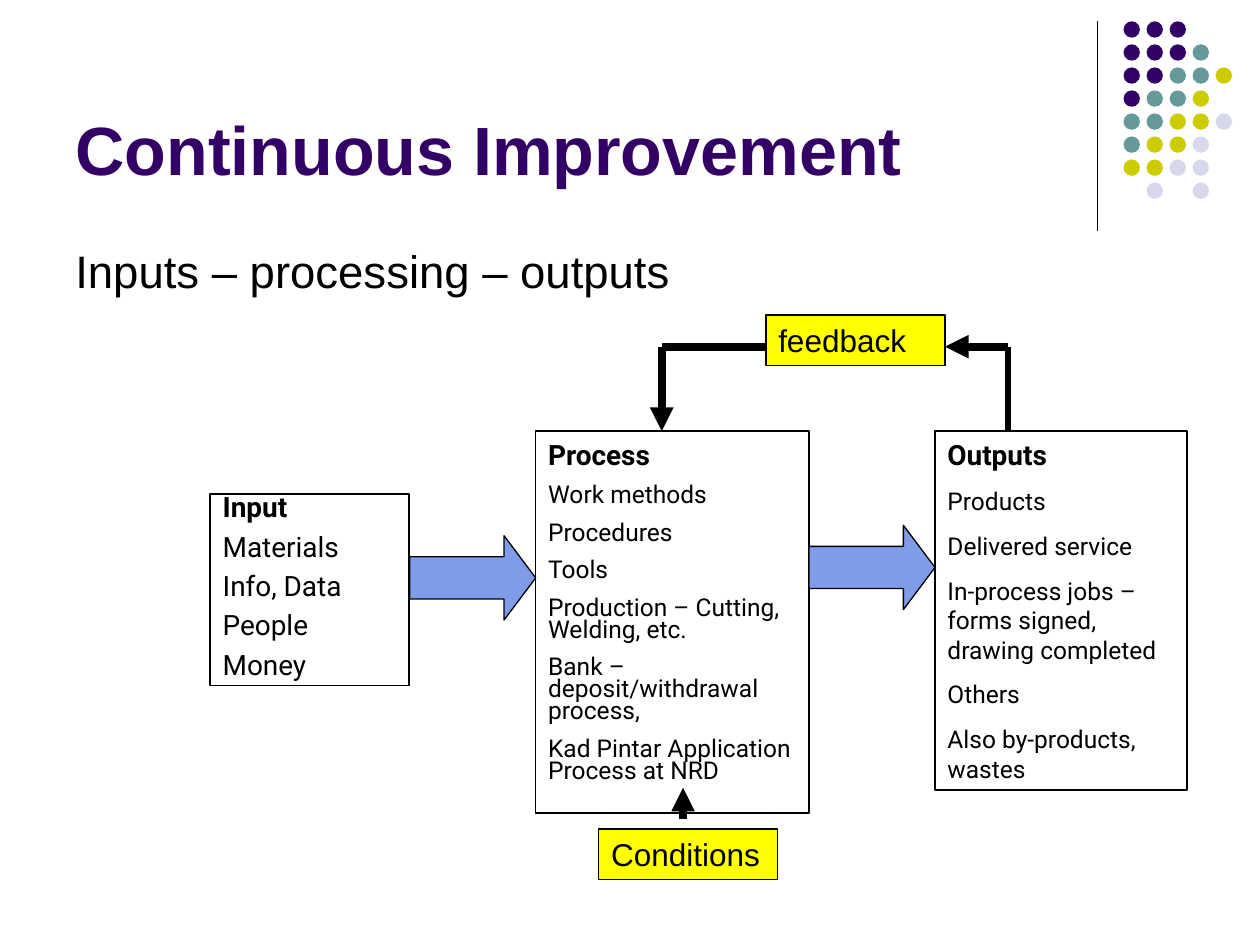
import pptx
import pptx.dml.color
import pptx.enum.shapes
import pptx.enum.text
import pptx.oxml
import pptx.util

Cm = pptx.util.Cm
Pt = pptx.util.Pt
SHAPES = pptx.enum.shapes.MSO_SHAPE
ANCHORS = pptx.enum.text.MSO_ANCHOR
NAMESPACE = 'xmlns:a="http://schemas.openxmlformats.org/drawingml/2006/main"'

COLORS = {
    "purple": "330066",
    "teal": "669999",
    "olive": "CCCC00",
    "lavender": "D8D8EC",
    "blue": "7E9CE8",
    "yellow": "FFFF00",
    "black": "000000",
}
DOT_ROWS = ["PPP", "PPPT", "PPTTO", "PTTO", "TTOOL", "TOOL", "OOLL", " L L"]
DOT_COLORS = {"P": "purple", "T": "teal", "O": "olive", "L": "lavender"}


def rgb(name):
    """Return the palette colour with the given name."""
    return pptx.dml.color.RGBColor.from_string(COLORS[name])


def format_font(paragraph, size, name="Arial", color="black", bold=False):
    """Set the typeface of every run in a paragraph."""
    for run in paragraph.runs:
        run.font.name = name
        run.font.size = Pt(size)
        run.font.bold = bold
        run.font.color.rgb = rgb(color)


def add_preset(shapes, kind, box, fill=None, line_width=None):
    """Add a preset shape with an optional fill and black outline."""
    shape = shapes.add_shape(kind, *map(Cm, box))
    shape.shadow.inherit = False
    if fill:
        shape.fill.solid()
        shape.fill.fore_color.rgb = rgb(fill)
    else:
        shape.fill.background()
    if line_width:
        shape.line.color.rgb = rgb("black")
        shape.line.width = Pt(line_width)
    else:
        shape.line.fill.background()
    return shape


def add_line(slide, start, end, width, arrow=False):
    """Draw a straight black line, with an arrowhead at its end if asked."""
    connector = slide.shapes.add_connector(
        pptx.enum.shapes.MSO_CONNECTOR.STRAIGHT, *map(Cm, (*start, *end)))
    connector.line.color.rgb = rgb("black")
    connector.line.width = Pt(width)
    if arrow:
        connector.line._get_or_add_ln().append(
            pptx.oxml.parse_xml(f'<a:tailEnd {NAMESPACE} type="triangle"/>'))
    connector._element.spPr.append(
        pptx.oxml.parse_xml(f"<a:effectLst {NAMESPACE}/>"))


def place_title(slide, box, text):
    """Move and format the title placeholder."""
    title = slide.shapes.title
    title.left, title.top, title.width, title.height = map(Cm, box)
    frame = title.text_frame
    frame.text = text
    frame.word_wrap = True
    frame.auto_size = pptx.enum.text.MSO_AUTO_SIZE.NONE
    frame.vertical_anchor = ANCHORS.BOTTOM
    paragraph = frame.paragraphs[0]
    paragraph.alignment = pptx.enum.text.PP_ALIGN.LEFT
    format_font(paragraph, 39, color="purple", bold=True)


def place_subtitle(slide, box, text):
    """Write the line under the title."""
    frame = slide.shapes.add_textbox(*map(Cm, box)).text_frame
    frame.word_wrap = True
    frame.text = text
    format_font(frame.paragraphs[0], 26)


def place_dots(slide, box):
    """Draw the corner ornament: a vertical rule and a grid of dots."""
    left, top, rule_height, dots_offset, dots_height = box
    diameter = 0.33
    pitch = (dots_height - diameter) / (len(DOT_ROWS) - 1)
    add_line(slide, (left, top), (left, top + rule_height), 0.75)
    group = slide.shapes.add_group_shape()
    for row, pattern in enumerate(DOT_ROWS):
        for column, key in enumerate(pattern):
            if key in DOT_COLORS:
                dot_box = (left + dots_offset + column * pitch,
                           top + row * pitch, diameter, diameter)
                add_preset(group.shapes, SHAPES.OVAL, dot_box, DOT_COLORS[key])


def place_panel(slide, box, lines, size, space, spacing=None,
                heading_spacing=None, line_width=0.75):
    """Draw an outlined panel with a bold heading and its list."""
    frame = add_preset(slide.shapes, SHAPES.RECTANGLE, box,
                       line_width=line_width).text_frame
    frame.word_wrap = True
    frame.vertical_anchor = ANCHORS.TOP
    frame.text = "\n".join(lines)
    for index, paragraph in enumerate(frame.paragraphs):
        heading = index == 0
        paragraph.alignment = pptx.enum.text.PP_ALIGN.LEFT
        paragraph.line_spacing = heading_spacing if heading else spacing
        paragraph.space_before = Pt(0 if heading else space)
        format_font(paragraph, 16 if heading else size, "Roboto", bold=heading)


def place_block_arrow(slide, box):
    """Draw a blue block arrow between two panels."""
    arrow = add_preset(slide.shapes, SHAPES.RIGHT_ARROW, box, "blue", 0.75)
    arrow.adjustments[0] = 0.5
    arrow.adjustments[1] = 0.375


def place_label(slide, box, text):
    """Draw a yellow label."""
    frame = add_preset(slide.shapes, SHAPES.RECTANGLE, box, "yellow", 0.75).text_frame
    frame.word_wrap = True
    frame.vertical_anchor = ANCHORS.TOP
    frame.text = text
    frame.paragraphs[0].alignment = pptx.enum.text.PP_ALIGN.LEFT
    format_font(frame.paragraphs[0], 18)


def place_conditions(slide, box):
    """Draw the conditions label with the arrow rising from it."""
    left, top, width, height = box
    label_height = 1.02
    label_top = top + height - label_height
    arrow_x = left + 1.7
    place_label(slide, (left, label_top, width, label_height), "Conditions")
    add_line(slide, (arrow_x, label_top - 0.2), (arrow_x, top), 4.5, arrow=True)


def place_feedback(slide, box):
    """Draw the loop from outputs through feedback back to the process."""
    left, top, width, height = box
    right, bottom, middle = left + width, top + height, top + 0.64
    label_left, label_width = left + 2.1, 3.61
    add_line(slide, (right, bottom), (right, middle), 3)
    add_line(slide, (label_left + 0.44, middle), (left, middle), 4.5)
    add_line(slide, (left, middle), (left, bottom), 4.5, arrow=True)
    place_label(slide, (label_left, top, label_width, 1.02), "feedback")
    add_line(slide, (right, middle), (label_left + label_width, middle), 4.5, arrow=True)


def main():
    """Build and save the presentation."""
    presentation = pptx.Presentation()
    presentation.slide_width = Cm(25.4)
    presentation.slide_height = Cm(19.05)
    slide = presentation.slides.add_slide(presentation.slide_layouts[5])

    place_dots(slide, (22.12, 0.43, 4.22, 0.53, 3.58))
    place_title(slide, (1.27, 0.33, 20.96, 3.61), "Continuous Improvement")
    place_subtitle(slide, (1.27, 4.78, 22.86, 1.4), "Inputs – processing – outputs")

    place_panel(slide, (4.24, 9.96, 4.01, 3.86),
                ["Input", "Materials", "Info, Data", "People", "Money"],
                16, 10, spacing=0.65, heading_spacing=0.65, line_width=1)
    place_block_arrow(slide, (8.26, 10.8, 2.54, 1.7))
    place_panel(slide, (10.8, 8.69, 5.51, 7.7),
                ["Process", "Work methods", "Procedures", "Tools",
                 "Production – Cutting, Welding, etc.",
                 "Bank – deposit/withdrawal process,",
                 "Kad Pintar Application Process at NRD"],
                14, 8.8, spacing=0.75)
    place_block_arrow(slide, (16.31, 10.59, 2.54, 1.7))
    place_panel(slide, (18.85, 8.69, 5.08, 7.24),
                ["Outputs", "Products", "Delivered service",
                 "In-process jobs – forms signed, drawing completed",
                 "Others", "Also by-products, wastes"],
                14, 8.8)
    place_conditions(slide, (12.07, 15.88, 3.61, 1.85))
    place_feedback(slide, (13.34, 6.35, 6.98, 2.34))
    presentation.save("out.pptx")


if __name__ == "__main__":
    main()
